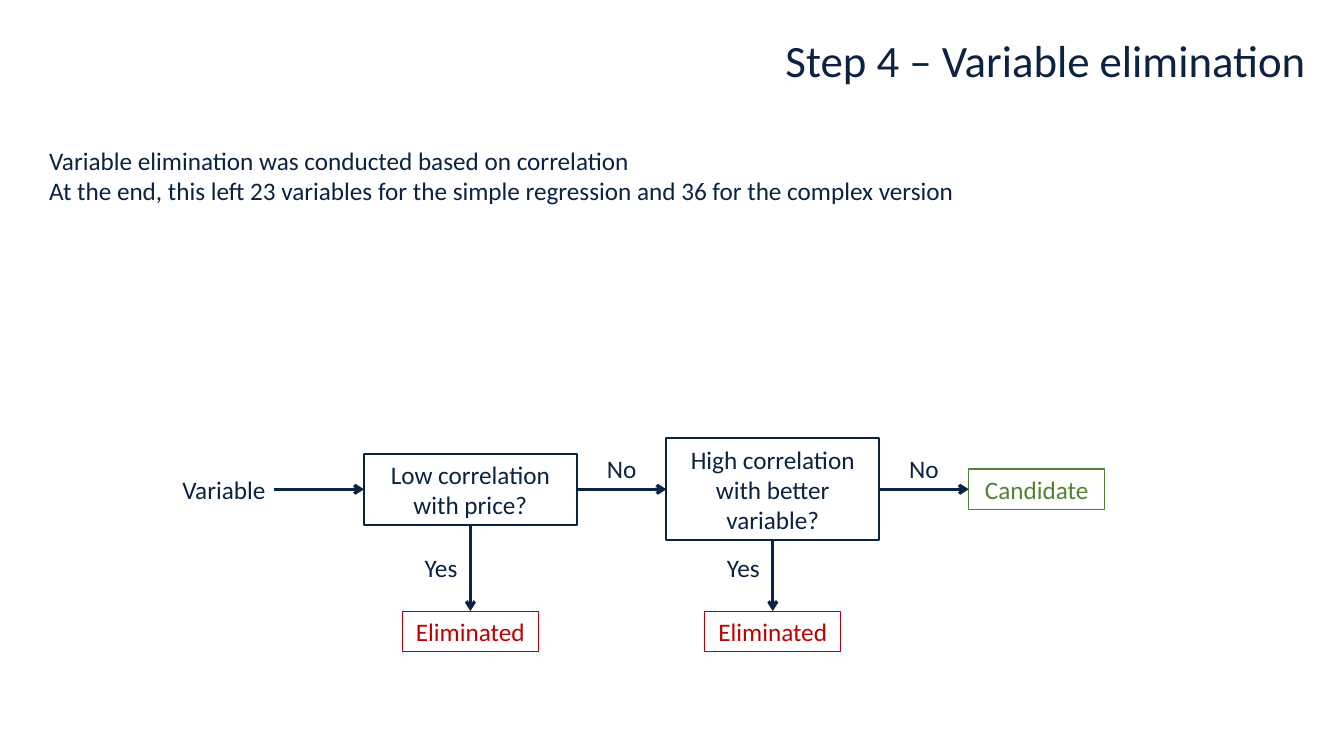
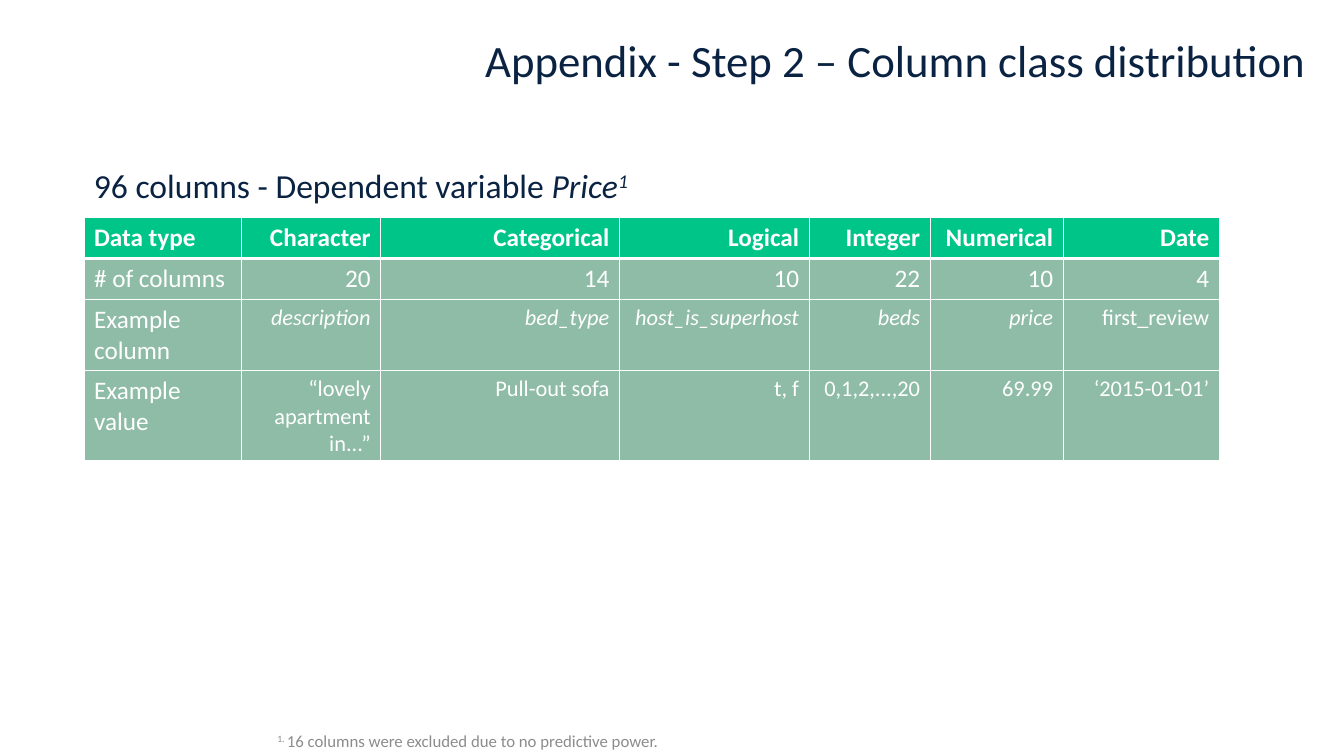
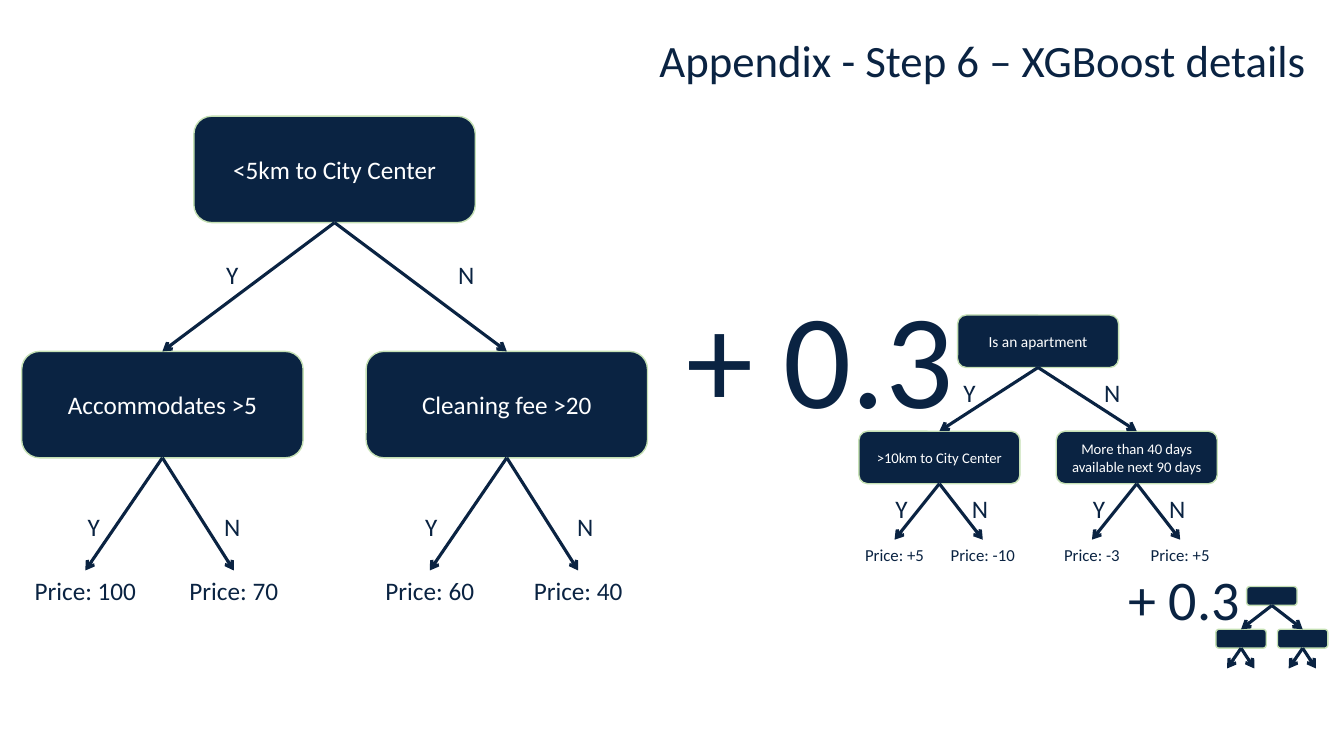
import pptx
import pptx.dml.color
import pptx.enum.shapes
import pptx.enum.text
import pptx.oxml
import pptx.oxml.ns
import pptx.util
from lxml import etree

Pt = pptx.util.Pt
SHAPE = pptx.enum.shapes.MSO_SHAPE
ALIGN = pptx.enum.text.PP_ALIGN
ANCHOR = pptx.enum.text.MSO_ANCHOR
qn = pptx.oxml.ns.qn

TOP, LEFT, BOTTOM, RIGHT = range(4)  # connection sites of a rectangle


def rgb(color):
    return pptx.dml.color.RGBColor.from_string(color)


class Deck:
    FONT = "Calibri"
    NAVY, WHITE, GRAY = "0A2342", "FFFFFF", "8C8C8C"
    RED, GREEN = "C00000", "548235"
    HEADER, BODY, PALE = "00C588", "8EBCA6", "C5E0B4"

    def __init__(self):
        self.prs = pptx.Presentation()
        self.prs.slide_width, self.prs.slide_height = Pt(960), Pt(540)
        self.s = None

    def slide(self, title):
        self.s = self.prs.slides.add_slide(self.prs.slide_layouts[6])
        self.text(title, 159, 20, 781, 46, size=32, align=ALIGN.RIGHT)

    def fill_text(self, tf, paragraphs, size, color, align=ALIGN.LEFT):
        """A paragraph is a list of (text, style) runs; a string is one plain run."""
        if isinstance(paragraphs, str):
            paragraphs = [[(paragraphs, "")]]
        for i, runs in enumerate(paragraphs):
            p = tf.add_paragraph() if i else tf.paragraphs[0]
            p.alignment = align
            for text, style in runs:
                r = p.add_run()
                r.text = text
                r.font.name, r.font.size = self.FONT, Pt(size)
                r.font.color.rgb = rgb(color)
                r.font.bold, r.font.italic = "b" in style, "i" in style
                if "^" in style:
                    r._r.get_or_add_rPr().set("baseline", "30000")

    def text(self, paragraphs, x, y, w, h, size=18, color=NAVY,
             align=ALIGN.LEFT, anchor=ANCHOR.TOP):
        tf = self.s.shapes.add_textbox(Pt(x), Pt(y), Pt(w), Pt(h)).text_frame
        tf.word_wrap, tf.vertical_anchor = True, anchor
        self.fill_text(tf, paragraphs, size, color, align)

    def label(self, text, cx, y, w=42, size=18):
        self.text(text, cx - w / 2, y, w, size * 1.22 + 7.2, size, align=ALIGN.CENTER)

    def box(self, text, cx, y, w, h, line, weight, size=18, color=None,
            fill=None, kind=SHAPE.RECTANGLE):
        sp = self.s.shapes.add_shape(kind, Pt(cx - w / 2), Pt(y), Pt(w), Pt(h))
        sp.shadow.inherit = False
        if fill:
            sp.fill.solid()
            sp.fill.fore_color.rgb = rgb(fill)
        else:
            sp.fill.background()
        sp.line.color.rgb, sp.line.width = rgb(line), Pt(weight)
        if text:
            sp.text_frame.word_wrap = True
            self.fill_text(sp.text_frame, text, size, color or line, ALIGN.CENTER)
        return sp

    def arrow(self, start, end):
        """Each end is either (shape, site) or (x, y)."""
        points = [(0, 0) if hasattr(a, "shape_id") else (Pt(a), Pt(b))
                  for a, b in (start, end)]
        c = self.s.shapes.add_connector(
            pptx.enum.shapes.MSO_CONNECTOR.STRAIGHT, *points[0], *points[1])
        for (a, site), connect in ((start, c.begin_connect), (end, c.end_connect)):
            if hasattr(a, "shape_id"):
                connect(a, site)
        c.line.color.rgb, c.line.width = rgb(self.NAVY), Pt(2.25)
        etree.SubElement(c.line._get_or_add_ln(), qn("a:tailEnd"), type="arrow")
        etree.SubElement(c._element.spPr, qn("a:effectLst"))

    def borders(self, cell, **weights):
        tcPr = cell._tc.get_or_add_tcPr()
        for i, side in enumerate("LRTB"):
            ln = etree.Element(qn("a:ln" + side), w=str(Pt(weights.get(side, 1))))
            solid = etree.SubElement(ln, qn("a:solidFill"))
            etree.SubElement(solid, qn("a:srgbClr"), val=self.WHITE)
            tcPr.insert(i, ln)

    def table(self, rows, x, y, widths, heights):
        """A cell is (text, size, style); the first row is the header."""
        t = self.s.shapes.add_table(len(rows), len(widths), Pt(x), Pt(y),
                                    Pt(sum(widths)), Pt(sum(heights))).table
        t.horz_banding = False
        for col, w in zip(t.columns, widths):
            col.width = Pt(w)
        for i, (row, h) in enumerate(zip(rows, heights)):
            t.rows[i].height = Pt(h)
            for j, (text, size, style) in enumerate(row):
                cell = t.cell(i, j)
                cell.fill.solid()
                cell.fill.fore_color.rgb = rgb(self.BODY if i else self.HEADER)
                self.borders(cell, T=3 if i == 1 else 1, B=1 if i else 3)
                self.fill_text(cell.text_frame, [[(text, style)]], size, self.WHITE,
                               ALIGN.RIGHT if j else ALIGN.LEFT)

    def node(self, text, cx, y, w, h, size):
        return self.box(text, cx, y, w, h, self.PALE, 1, size, self.WHITE,
                        self.NAVY, SHAPE.ROUNDED_RECTANGLE)

    def tree(self, cx, tops, box, spread, leaf_dx, names=("", "", ""),
             sizes=(18, 18, 18), leaves=(), label_tops=(), label_dx=()):
        """Root, two children and four leaves; tops are those of the three levels."""
        root_y, child_y, leaf_y = tops
        root = self.node(names[0], cx, root_y, *box, sizes[0])
        centers = [cx, cx - spread, cx + spread]
        for i, child_x in enumerate(centers[1:]):
            child = self.node(names[i + 1], child_x, child_y, *box, sizes[1])
            self.arrow((root, BOTTOM), (child, TOP))
            for j, dx in enumerate(leaf_dx):
                self.arrow((child, BOTTOM), (child_x + dx, leaf_y))
                if leaves:
                    self.label(leaves[2 * i + j], child_x + dx, leaf_y, 102, sizes[2])
        # Yes / no marks beside the branches
        for i, pair in enumerate(label_dx):
            for mark, dx in zip("YN", pair):
                self.label(mark, centers[i] + dx, label_tops[min(i, 1)])


def elimination(d):
    d.slide("Step 4 – Variable elimination")
    d.text([[("Variable elimination was conducted based on correlation", "")],
            [("At the end, this left 23 variables for the simple regression "
              "and 36 for the complex version", "")]], 28, 100, 876, 73)

    # Decision flow along one middle line
    mid, left, width, gap = 349.5, 260, 152, 64
    small_w, small_h, low_y = 97, 29, 436.5
    d.label("Variable", 160, mid - small_h / 2, 127)
    source = (left - gap, mid)
    steps = [("Low correlation with price?", 51),
             ("High correlation with better variable?", 73)]
    for i, (question, h) in enumerate(steps):
        cx = left + width / 2 + i * (width + gap)
        step = d.box(question, cx, mid - h / 2, width, h, d.NAVY, 1.5)
        d.arrow(source, (step, LEFT))
        out = d.box("Eliminated", cx, low_y, small_w, small_h, d.RED, 0.75)
        d.arrow((step, BOTTOM), (out, TOP))
        d.label("Yes", cx - 21, 391)
        d.label("No", cx + (width + gap) / 2, 320)
        source = (step, RIGHT)
    end_x = left + 2 * (width + gap) + small_w / 2
    end = d.box("Candidate", end_x, mid - small_h / 2, small_w, small_h, d.GREEN, 0.75)
    d.arrow(source, (end, LEFT))


def columns(d):
    d.slide("Appendix - Step 2 – Column class distribution")
    header = ["Data type", "Character", "Categorical", "Logical", "Integer",
              "Numerical", "Date"]
    counts = ["# of columns", "20", "14", "10", "22", "10", "4"]
    names = ["description", "bed_type", "host_is_superhost", "beds", "price"]
    values = ["“lovely apartment in...”", "Pull-out sofa", "t, f", "0,1,2,...,20",
              "69.99", "‘2015-01-01’"]
    rows = [[(text, 18, "b") for text in header],
            [(text, 18, "") for text in counts],
            [("Example column", 18, ""), *((text, 16, "i") for text in names),
             ("first_review", 16, "")],
            [("Example value", 18, ""), *((text, 16, "") for text in values)]]
    d.table(rows, 60, 155.5, [112.5, 99.5, 170.5, 135.5, 86.5, 95, 111.5],
            [29.2, 29.2, 50.6, 64.5])
    d.text([[("96 columns - Dependent variable ", ""), ("Price", "i"), ("1", "i^")]],
           60, 114, 859, 36, size=24)
    d.text([[("1. ", "^"), ("16 columns were excluded due to no predictive power.", "")]],
           191, 511, 324, 29, size=12, color=d.GRAY, anchor=ANCHOR.BOTTOM)


def boosting(d):
    d.slide("Appendix - Step 6 – XGBoost details")
    d.tree(239, (83, 251, 407.5), (201, 76), 123, (-55, 51),
           ("<5km to City Center", "Accommodates >5", "Cleaning fee >20"),
           leaves=("Price: 100", "Price: 70", "Price: 60", "Price: 40"),
           label_tops=(181.5, 361.5), label_dx=((-73, 94), (-49, 50), (-54, 56)))
    d.tree(741.5, (225, 308, 385.5), (115, 37.5), 70.5, (-32, 31),
           ("Is an apartment", ">10km to City Center",
            "More than 40 days available next 90 days"), (11, 10.5, 12),
           ("Price: +5", "Price: -10", "Price: -3", "Price: +5"),
           (266, 348.5), ((-49, 53), (-27, 29), (-27, 29)))
    d.tree(908.5, (419, 449.5, 477.5), (36, 13.5), 22, (-10, 9.5))

    # Weights of the added trees
    d.text("+ 0.3", 483, 192, 246, 124, size=96)
    d.text("+ 0.3", 799, 400, 120, 56, size=40)


def main():
    d = Deck()
    elimination(d)
    columns(d)
    boosting(d)
    d.prs.save("out.pptx")


if __name__ == "__main__":
    main()
